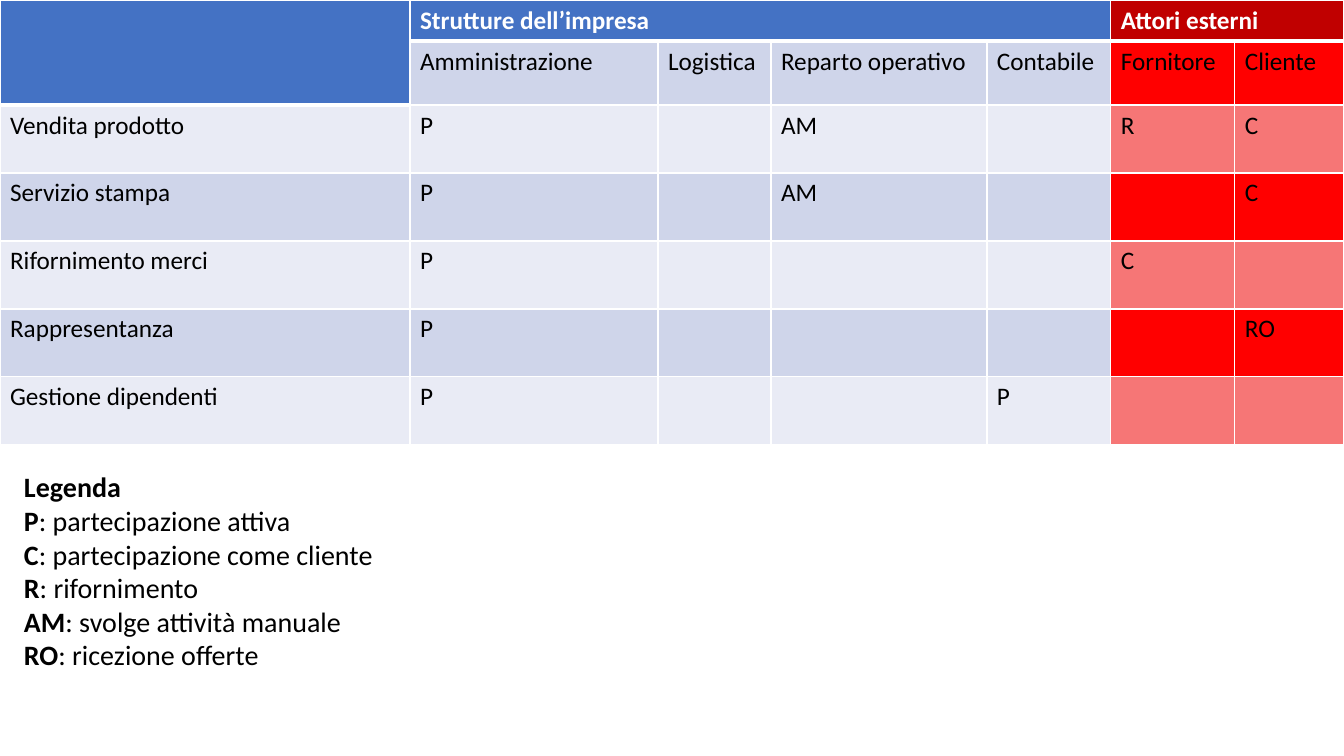
import dataclasses
import pptx
import pptx.dml.color
import pptx.enum.text
import pptx.oxml
import pptx.oxml.ns
import pptx.util

SCALE = 914400 / 100.8
WHITE, BLACK = "FFFFFF", "000000"
COLS = [410, 248, 113, 216, 124, 124, 109]
ROWS = [41, 64] + [68] * 5
OUTER = 5  # first column of the external actors


@dataclasses.dataclass
class Band:
    inner: str
    outer: str


HEAD = Band("4472C4", "C00000")
DARK = Band("CFD5EA", "FF0000")
LIGHT = Band("E9EBF5", "F67676")

GRID = [
    ["", "Strutture dell’impresa", "", "", "", "Attori esterni", ""],
    ["", "Amministrazione", "Logistica", "Reparto operativo", "Contabile",
     "Fornitore", "Cliente"],
    ["Vendita prodotto", "P", "", "AM", "", "R", "C"],
    ["Servizio stampa", "P", "", "AM", "", "", "C"],
    ["Rifornimento merci", "P", "", "", "", "C", ""],
    ["Rappresentanza", "P", "", "", "", "", "RO"],
    ["Gestione dipendenti", "P", "", "", "P", "", ""],
]
SPANS = [((0, 0), (1, 0)), ((0, 1), (0, 4)), ((0, 5), (0, 6))]
LEGEND = [
    ("P", "partecipazione attiva"),
    ("C", "partecipazione come cliente"),
    ("R", "rifornimento"),
    ("AM", "svolge attività manuale"),
    ("RO", "ricezione offerte"),
]


def px(size: int) -> pptx.util.Emu:
    return pptx.util.Emu(round(size * SCALE))


def tint(code: str) -> pptx.dml.color.RGBColor:
    return pptx.dml.color.RGBColor.from_string(code)


def write(para, text: str, size: int = 18, color: str = BLACK,
          bold: bool = False) -> None:
    run = para.add_run()
    run.text = text
    run.font.name = "Calibri"
    run.font.size = pptx.util.Pt(size)
    run.font.bold = bold
    run.font.color.rgb = tint(color)


def is_head(row: int, col: int) -> bool:
    return row == 0 or (row, col) == (1, 0)


def edge(cell, top: int, base: int) -> None:
    """Give the cell white borders, with top and base widths in points."""
    props = cell._tc.get_or_add_tcPr()
    widths = {"lnL": 1, "lnR": 1, "lnT": top, "lnB": base}
    for spot, (tag, width) in enumerate(widths.items()):
        props.insert(spot, pptx.oxml.parse_xml(
            f'<a:{tag} {pptx.oxml.ns.nsdecls("a")} w="{width * 12700}">'
            f'<a:solidFill><a:srgbClr val="{WHITE}"/></a:solidFill></a:{tag}>'))


def dress(cell, row: int, col: int) -> None:
    head = is_head(row, col)
    band = HEAD if head else DARK if row % 2 else LIGHT
    cell.fill.solid()
    cell.fill.fore_color.rgb = tint(band.inner if col < OUTER else band.outer)
    under = row > 0 and is_head(row - 1, col)
    edge(cell, 3 if under else 1, 3 if head else 1)
    if GRID[row][col]:
        write(cell.text_frame.paragraphs[0], GRID[row][col],
              color=WHITE if head else BLACK, bold=head)


def add_grid(slide) -> None:
    table = slide.shapes.add_table(len(ROWS), len(COLS), 0, 0,
                                   px(sum(COLS)), px(sum(ROWS))).table
    table.first_row = table.horz_banding = False
    for col, width in enumerate(COLS):
        table.columns[col].width = px(width)
    for row, height in enumerate(ROWS):
        table.rows[row].height = px(height)
        for col in range(len(COLS)):
            dress(table.cell(row, col), row, col)
    for start, end in SPANS:
        table.cell(*start).merge(table.cell(*end))


def add_legend(slide) -> None:
    box = slide.shapes.add_textbox(px(14), px(465), px(373), px(214))
    frame = box.text_frame
    frame.word_wrap = False
    frame.auto_size = pptx.enum.text.MSO_AUTO_SIZE.SHAPE_TO_FIT_TEXT
    write(frame.paragraphs[0], "Legenda", size=20, bold=True)
    for code, sense in LEGEND:
        para = frame.add_paragraph()
        write(para, code, size=20, bold=True)
        write(para, f": {sense}", size=20)


def main() -> None:
    deck = pptx.Presentation()
    deck.slide_width, deck.slide_height = px(1344), px(756)
    slide = deck.slides.add_slide(deck.slide_layouts[6])
    add_grid(slide)
    add_legend(slide)
    deck.save("out.pptx")


if __name__ == "__main__":
    main()
